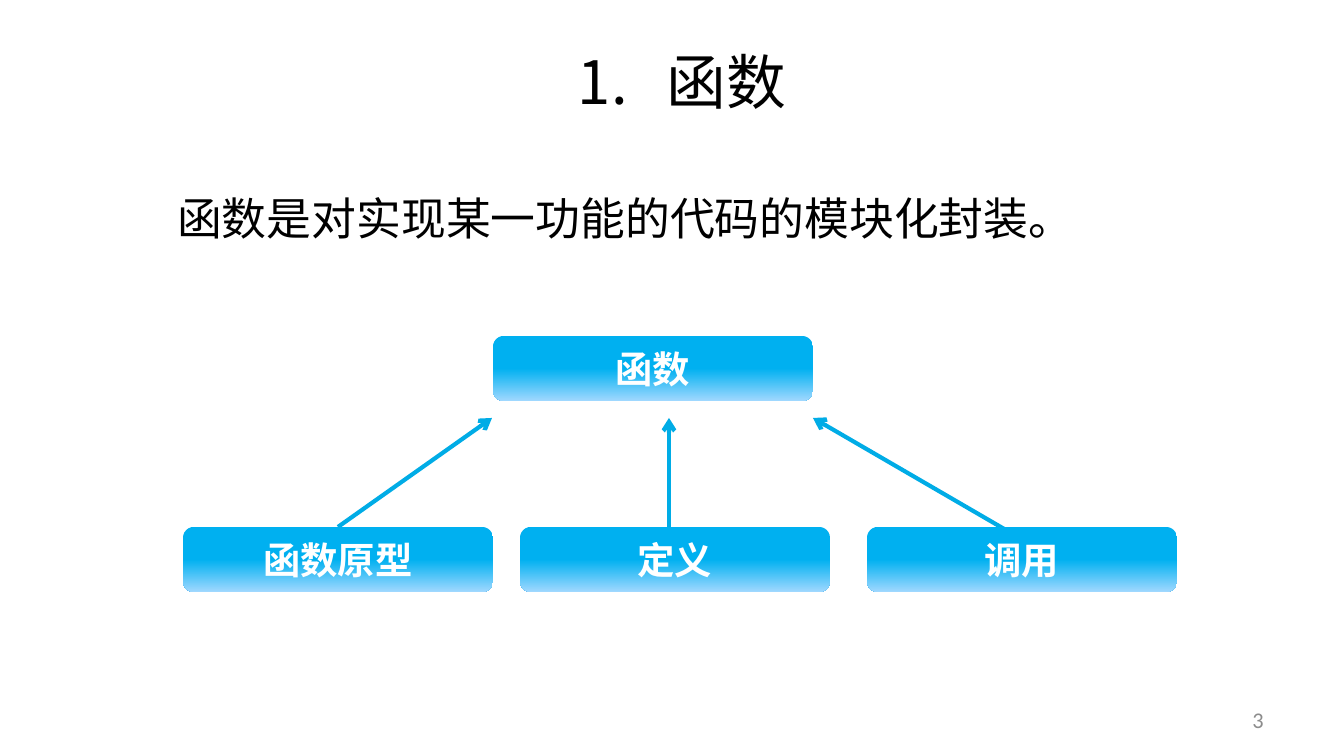
from copy import deepcopy
from lxml import etree
from pptx import Presentation
from pptx.dml.color import RGBColor
from pptx.enum.shapes import MSO_CONNECTOR, MSO_SHAPE
from pptx.enum.text import MSO_ANCHOR, MSO_AUTO_SIZE, PP_ALIGN
from pptx.oxml.ns import qn
from pptx.util import Pt

ROUND = MSO_SHAPE.ROUNDED_RECTANGLE
LINE = MSO_CONNECTOR.STRAIGHT
TOP, MID = MSO_ANCHOR.TOP, MSO_ANCHOR.MIDDLE
GROW, FIXED = MSO_AUTO_SIZE.SHAPE_TO_FIT_TEXT, MSO_AUTO_SIZE.NONE
LEFT, MIDDLE, RIGHT = PP_ALIGN.LEFT, PP_ALIGN.CENTER, PP_ALIGN.RIGHT
PX = 914400 / 134.4
HAN = "Noto Sans CJK SC"
hue = RGBColor.from_string


def px(*vals):
    return [round(v * PX) for v in vals]


def write(shape, text, size, face, color, align, bold=False):
    frame = shape.text_frame
    frame.word_wrap = True
    frame.auto_size = GROW
    frame.vertical_anchor = TOP
    para = frame.paragraphs[0]
    para.text = text
    para.alignment = align
    font = para.runs[0].font
    font.size, font.name, font.bold = Pt(size), face, bold
    font.color.rgb = hue(color)
    props = para.runs[0].font._element
    etree.SubElement(props, qn("a:ea"), typeface=HAN)
    return para


deck = Presentation()
deck.slide_width, deck.slide_height = px(1344, 756)
slide = deck.slides.add_slide(deck.slide_layouts[6])
shapes = slide.shapes

arrows = []
for ends in [(1030, 544, 813, 418), (338, 527, 492, 418), (669, 527, 669, 418)]:
    arrow = shapes.add_connector(LINE, *px(*ends))
    arrow.line.color.rgb = hue("00ACE6")
    arrow.line.width = Pt(2.25)
    etree.SubElement(arrow.line._get_or_add_ln(), qn("a:tailEnd"), type="arrow")
    etree.SubElement(arrow.element.spPr, qn("a:effectLst"))
    arrows.append(arrow)

boxes = []
for text, left, top, width in [
    ("函数", 493, 336, 320),
    ("函数原型", 183, 527, 310),
    ("定义", 520, 527, 310),
    ("调用", 867, 527, 310),
]:
    box = shapes.add_shape(ROUND, *px(left, top, width, 65))
    box.shadow.inherit = False
    box.line.fill.background()
    box.fill.gradient()
    box.fill.gradient_angle = 270
    stops = box.element.spPr.find(".//" + qn("a:gsLst"))
    stops.insert(1, deepcopy(stops[0]))
    marks = [(0, "00B0F0"), (0.5, "00B0F0"), (1, "9FD8FF")]
    for stop, (place, color) in zip(box.fill.gradient_stops, marks):
        stop.position = place
        stop.color.rgb = hue(color)
    write(box, text, 20, HAN, "FFFFFF", MIDDLE, True)
    boxes.append(box)

arrows[1].begin_connect(boxes[1], 0)

page = shapes.add_textbox(*px(964, 700, 313, 40))
write(page, "3", 12, "Calibri", "8C8C8C", RIGHT)
page.text_frame.auto_size = FIXED
page.text_frame.vertical_anchor = MID

body = shapes.add_textbox(*px(164, 157, 953, 86))
para = write(body, "函数是对实现某一功能的代码的模块化封装。", 24, "Arial", "000000", LEFT)
para.line_spacing = 1.5

title = shapes.add_textbox(*px(149, 38, 1066, 86))
para = write(title, " 函数", 32, HAN, "000000", MIDDLE)
props = para._p.get_or_add_pPr()
indent = px(75)[0]
props.set("marL", str(indent))
props.set("indent", str(-indent))
etree.SubElement(props, qn("a:buFont"), typeface=HAN)
etree.SubElement(props, qn("a:buAutoNum"), type="arabicPeriod")

deck.save("out.pptx")
